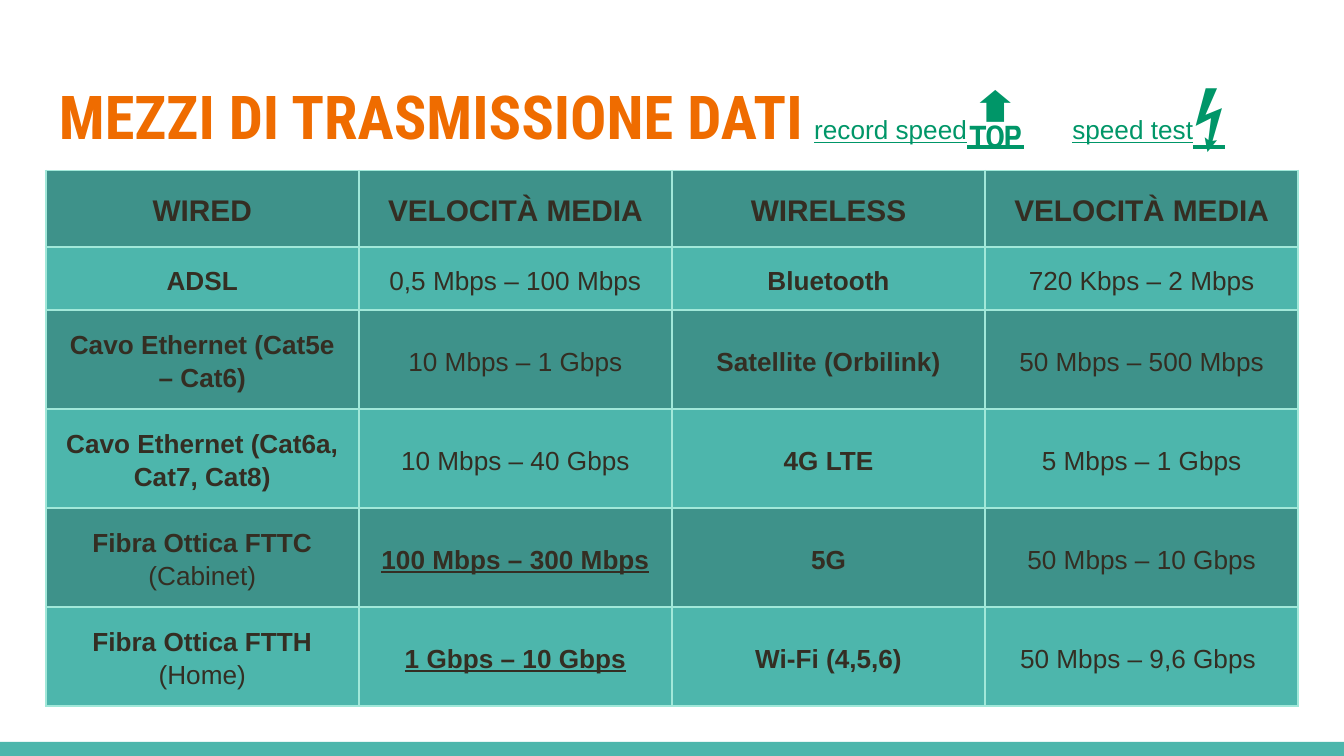
from lxml import etree
from pptx import Presentation
from pptx.dml.color import RGBColor
from pptx.enum.shapes import MSO_SHAPE
from pptx.enum.text import MSO_ANCHOR, MSO_AUTO_SIZE, PP_ALIGN
from pptx.oxml.ns import qn
from pptx.util import Inches, Pt

RECTANGLE = MSO_SHAPE.RECTANGLE
TOP, MIDDLE = MSO_ANCHOR.TOP, MSO_ANCHOR.MIDDLE
GROW = MSO_AUTO_SIZE.SHAPE_TO_FIT_TEXT
CENTER = PP_ALIGN.CENTER

ORANGE = RGBColor(0xEF, 0x6C, 0x00)
GREEN = RGBColor(0x00, 0x96, 0x68)
TEAL = RGBColor(0x4D, 0xB6, 0xAC)
DARK_TEAL = RGBColor(0x3E, 0x92, 0x8A)
MINT = RGBColor(0xA1, 0xE8, 0xD9)
BROWN = RGBColor(0x34, 0x2E, 0x23)

HEADERS = ["WIRED", "VELOCITÀ MEDIA", "WIRELESS", "VELOCITÀ MEDIA"]
ROWS = [
    ["ADSL", "0,5 Mbps – 100 Mbps", "Bluetooth", "720 Kbps – 2 Mbps"],
    ["Cavo Ethernet (Cat5e – Cat6)", "10 Mbps – 1 Gbps",
     "Satellite (Orbilink)", "50 Mbps – 500 Mbps"],
    ["Cavo Ethernet (Cat6a, Cat7, Cat8)", "10 Mbps – 40 Gbps",
     "4G LTE", "5 Mbps – 1 Gbps"],
    ["Fibra Ottica FTTC ", "100 Mbps – 300 Mbps", "5G", "50 Mbps – 10 Gbps"],
    ["Fibra Ottica FTTH ", "1 Gbps – 10 Gbps", "Wi-Fi (4,5,6)", "50 Mbps – 9,6 Gbps "],
]
# Plain endings of the bold media names, and the highlighted speeds
PLACES = {"Fibra Ottica FTTC ": "(Cabinet)", "Fibra Ottica FTTH ": "(Home)"}
FASTEST = {"100 Mbps – 300 Mbps", "1 Gbps – 10 Gbps"}
# Minimum heights: rows grow to fit their text
ROW_HEIGHTS = [0.57, 0.34, 0.34, 0.52, 0.52, 0.34]


def add_run(paragraph, text, *, size=14, color=BROWN, font="Arial",
            bold=False, underline=False):
    run = paragraph.add_run()
    run.text = text
    run.font.name = font
    run.font.size = Pt(size)
    run.font.color.rgb = color
    run.font.bold = bold
    run.font.underline = underline


class SlideBuilder:
    heading_font = "Roboto Condensed"
    border_width = Pt(1)

    def __init__(self, slide):
        self.slide = slide

    def bar(self, left, top, width, height):
        shape = self.slide.shapes.add_shape(
            RECTANGLE, Inches(left), Inches(top), Inches(width), Inches(height))
        shape.shadow.inherit = False
        shape.fill.solid()
        shape.fill.fore_color.rgb = TEAL
        shape.line.fill.background()

    def text_box(self, left, top, width, height):
        shape = self.slide.shapes.add_textbox(
            Inches(left), Inches(top), Inches(width), Inches(height))
        frame = shape.text_frame
        frame.word_wrap = True
        frame.vertical_anchor = TOP
        return frame

    def title(self, text, left, top, width, height):
        frame = self.text_box(left, top, width, height)
        frame.margin_top = frame.margin_bottom = Inches(0.1)
        add_run(frame.paragraphs[0], text, size=32.4, color=ORANGE,
                font=self.heading_font, bold=True)

    def link_label(self, text, symbol, left, width):
        frame = self.text_box(left, 0.49, width, 0.71)
        frame.auto_size = GROW
        for part, size in ((text, 14), (symbol, 36)):
            add_run(frame.paragraphs[0], part, size=size, color=GREEN, underline=True)

    def borders(self, cell):
        properties = cell._tc.get_or_add_tcPr()
        for index, side in enumerate(("lnL", "lnR", "lnT", "lnB")):
            line = etree.Element(qn(f"a:{side}"), w=str(self.border_width))
            fill = etree.SubElement(line, qn("a:solidFill"))
            etree.SubElement(fill, qn("a:srgbClr"), val=str(MINT))
            properties.insert(index, line)

    def cell(self, cell, fill):
        cell.fill.solid()
        cell.fill.fore_color.rgb = fill
        cell.vertical_anchor = MIDDLE
        cell.margin_left = cell.margin_right = Inches(0.1)
        cell.margin_top = cell.margin_bottom = Inches(0.1)
        self.borders(cell)
        paragraph = cell.text_frame.paragraphs[0]
        paragraph.alignment = CENTER
        paragraph.line_spacing = 1.15
        return paragraph

    def speed_table(self, left, top, column_width, height):
        shape = self.slide.shapes.add_table(
            len(ROWS) + 1, len(HEADERS), Inches(left), Inches(top),
            Inches(column_width * len(HEADERS)), Inches(height))
        table = shape.table
        for column in table.columns:
            column.width = Inches(column_width)
        for row, row_height in zip(table.rows, ROW_HEIGHTS):
            row.height = Inches(row_height)
        # Row heights reset the frame, so its full height is set last
        shape.height = Inches(height)
        for row_index, texts in enumerate([HEADERS, *ROWS]):
            is_header = row_index == 0
            fill = TEAL if row_index % 2 else DARK_TEAL
            for column_index, text in enumerate(texts):
                paragraph = self.cell(table.cell(row_index, column_index), fill)
                is_name = column_index % 2 == 0
                add_run(paragraph, text, size=16 if is_header else 14,
                        bold=is_header or is_name or text in FASTEST,
                        underline=text in FASTEST)
                if text in PLACES:
                    add_run(paragraph, PLACES[text])


def main():
    presentation = Presentation()
    presentation.slide_width = Inches(10)
    presentation.slide_height = Inches(10 * 9 / 16)
    builder = SlideBuilder(presentation.slides.add_slide(presentation.slide_layouts[6]))

    # Footer bar and title
    builder.bar(0, 5.52, 10, 0.11)
    builder.title("MEZZI DI TRASMISSIONE DATI", 0.34, 0.49, 9.32, 0.77)

    # Table of media and speeds
    builder.speed_table(0.34, 1.27, 2.33, 3.87)

    # Link labels beside the title
    builder.link_label("record speed", "🔝", 5.96, 2.06)
    builder.link_label("speed test", "⚡", 7.88, 1.78)

    presentation.save("out.pptx")


if __name__ == "__main__":
    main()
